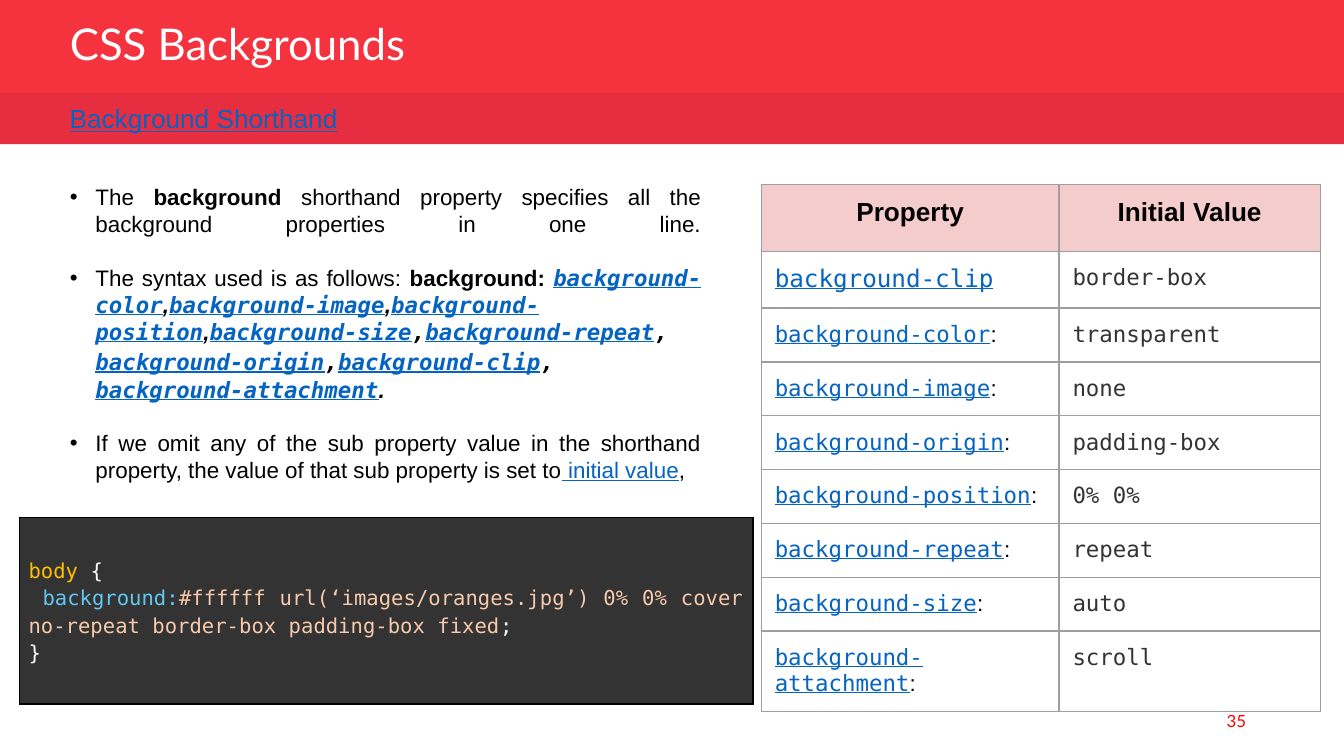
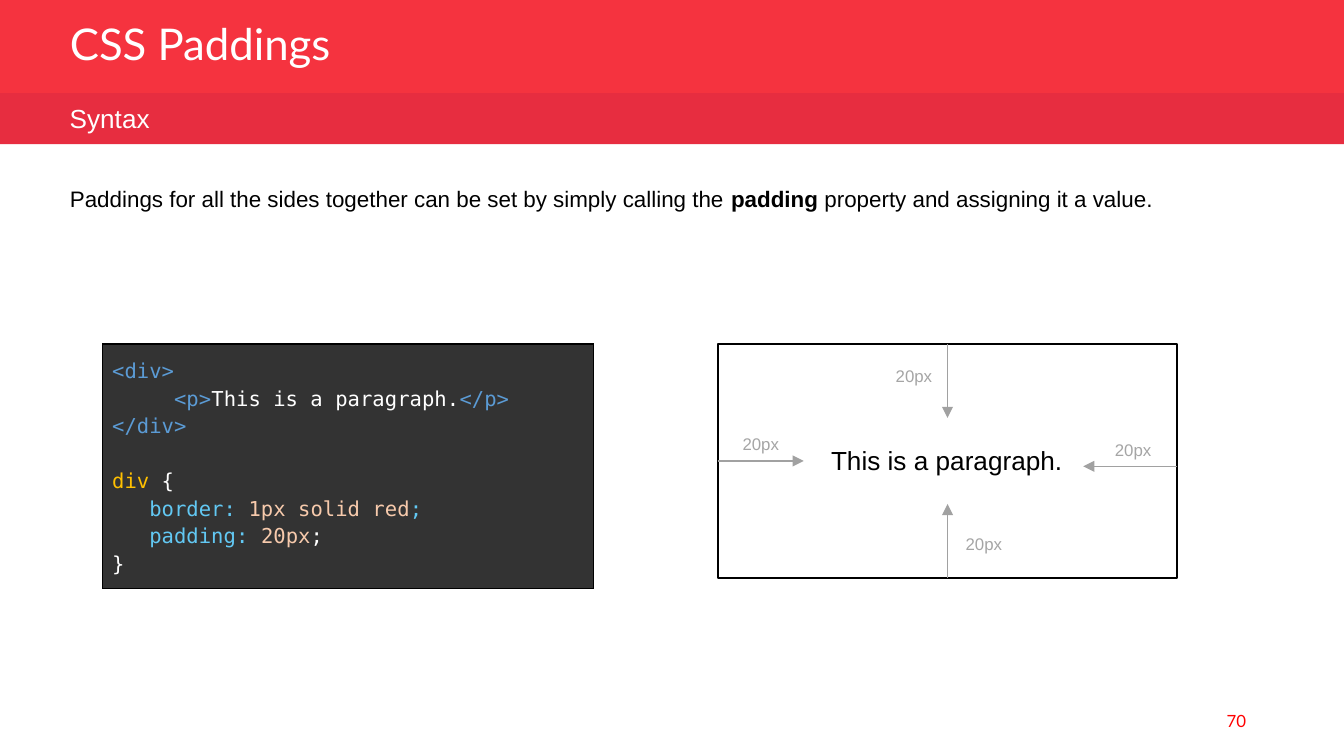
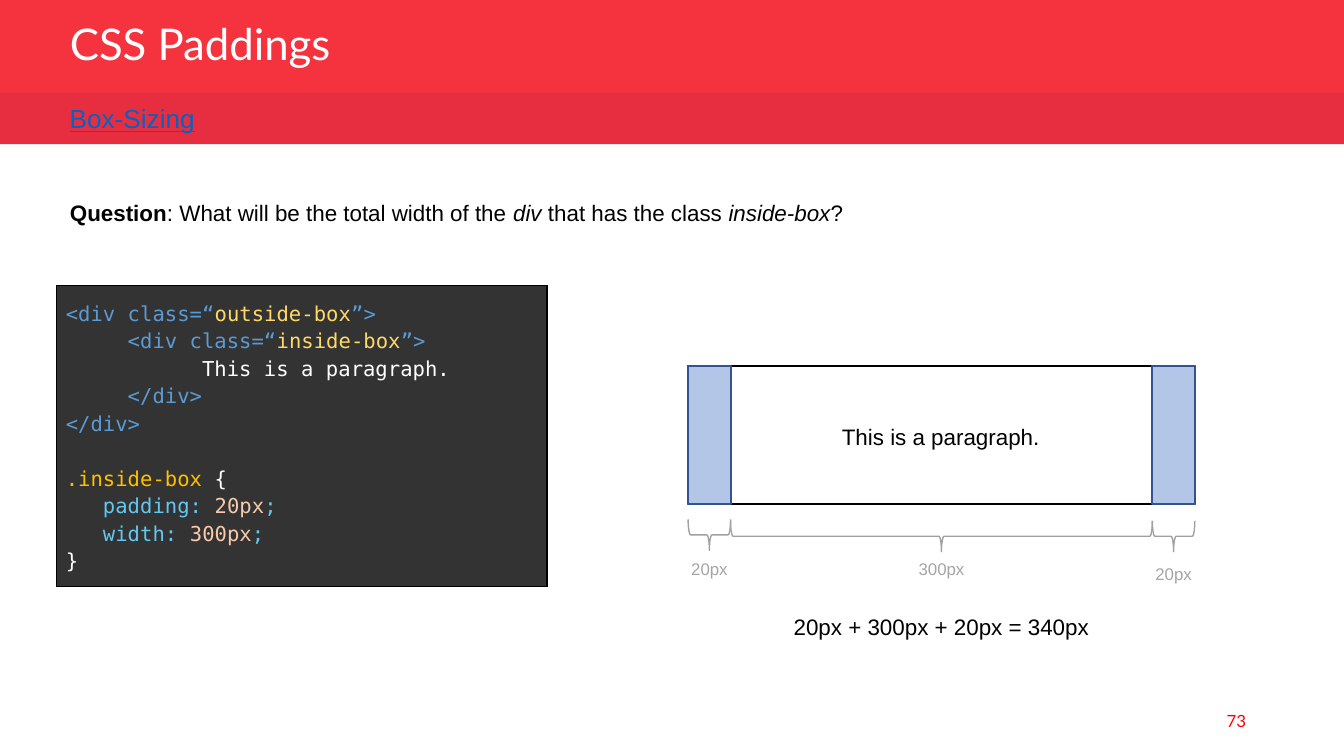
from copy import deepcopy
from typing import Any, NamedTuple, Optional

from pptx import Presentation
from pptx.dml.color import RGBColor
from pptx.enum.shapes import MSO_CONNECTOR as Connector, MSO_SHAPE as Preset
from pptx.enum.text import MSO_ANCHOR as Anchor, MSO_AUTO_SIZE as AutoSize, PP_ALIGN as Align
from pptx.oxml import parse_xml
from pptx.oxml.ns import nsdecls
from pptx.util import Inches, Pt

COLORS = {
    "header": "F5333F", "subheader": "E72D40", "white": "FFFFFF", "black": "000000",
    "link": "0563C1", "page": "FF0000", "table_line": "9E9E9E", "table_head": "F4CCCC",
    "dark": "333333", "arrow": "A1A1A1", "label": "A5A5A5",
    "padding": "B3C6E7", "padding_line": "31538F",
    "tag": "5B9BD5", "selector": "FFC000", "property": "62C8F3",
    "value": "F7CAAC", "string": "FFD966",
}
SANS, MONO, DISPLAY = "Arial", "DejaVu Sans Mono", "Lato"

# A 16:9 slide is a grid of 100 columns; rows are as high as columns are wide
WIDTH = Inches(10)
HEIGHT = WIDTH * 9 // 16
CELL = WIDTH / 100
MARGIN = 4.2
CODE_GAP = Pt(14.7)


class Box(NamedTuple):
    left: float
    top: float
    width: float
    height: float

    def emu(self) -> tuple[int, ...]:
        return tuple(grid(value) for value in self)


class Run(NamedTuple):
    text: str
    style: dict[str, Any] = {}


class Arrow(NamedTuple):
    start: tuple[float, float]
    end: tuple[float, float]
    label: tuple[float, float]
    side: Optional[int] = None


class Span(NamedTuple):
    text: str
    left: float
    width: float
    brace_top: float
    label_top: float
    label_width: float


BOLD = {"bold": True}
ITALIC = {"italic": True}
LINK = {"color": "link", "underline": True}
CODE_LINK = {**LINK, "font": MONO}
STRONG = {"bold": True, "italic": True}


def grid(value: float) -> int:
    return round(value * CELL)


def rgb(name: str) -> RGBColor:
    return RGBColor.from_string(COLORS[name])


# Text
def add_run(paragraph, text: str, *, size: float = 12, font: str = SANS, color: str = "black",
            bold: bool = False, italic: bool = False, underline: bool = False):
    run = paragraph.add_run()
    run.text = text
    run.font.size, run.font.name = Pt(size), font
    run.font.bold, run.font.italic, run.font.underline = bold, italic, underline
    run.font.color.rgb = rgb(color)
    return run


def write(frame, lines: list[list[Run]], align=Align.LEFT, spacing: float = 1.0) -> list:
    for index, runs in enumerate(lines):
        paragraph = frame.add_paragraph() if index else frame.paragraphs[0]
        paragraph.alignment, paragraph.line_spacing = align, spacing
        paragraph.space_before = Pt(0)
        for run in runs:
            add_run(paragraph, run.text, **run.style)
    return list(frame.paragraphs)


def add_text(slide, box: Box, text: str, *, align=Align.LEFT, anchor=Anchor.TOP,
             wrap: bool = True, **style) -> None:
    frame = slide.shapes.add_textbox(*box.emu()).text_frame
    frame.word_wrap, frame.vertical_anchor = wrap, anchor
    write(frame, [[Run(text, style)]], align)


def add_label(slide, box: Box, text: str, **style) -> None:
    add_text(slide, box, text, align=Align.CENTER, wrap=False, **style)


def place(placeholder, box: Box):
    placeholder.left, placeholder.top, placeholder.width, placeholder.height = box.emu()
    frame = placeholder.text_frame
    frame.word_wrap, frame.auto_size = True, AutoSize.NONE
    return frame


def set_bullet(paragraph, bullet: str = "") -> None:
    properties = paragraph._p.get_or_add_pPr()
    indent = Inches(0.19) if bullet else 0
    properties.set("marL", str(indent))
    properties.set("indent", str(-indent))
    if bullet:
        properties.append(parse_xml(
            f'<a:buClr {nsdecls("a")}><a:srgbClr val="{COLORS["black"]}"/></a:buClr>'))
        properties.append(parse_xml(f'<a:buChar {nsdecls("a")} char="{bullet}"/>'))
    else:
        properties.append(parse_xml(f'<a:buNone {nsdecls("a")}/>'))


def end_with_break(paragraph) -> None:
    """Closes the paragraph with a line break in the format of its last run."""
    format_element = paragraph.runs[-1]._r.rPr
    paragraph.add_line_break()
    paragraph._p[-1].append(deepcopy(format_element))
    paragraph._p.append(parse_xml(f'<a:endParaRPr {nsdecls("a")} sz="1200"/>'))


def add_body(slide, box: Box, lines: list[list[Run]], bullet: str = "", align=Align.LEFT) -> list:
    paragraphs = write(place(slide.placeholders[1], box), lines, align)
    for paragraph in paragraphs:
        set_bullet(paragraph, bullet)
    return paragraphs


# Shapes and lines
def add_shape(slide, preset, box: Box, fill: Optional[str] = None,
              line: Optional[str] = None, weight: float = 1):
    shape = slide.shapes.add_shape(preset, *box.emu())
    shape.shadow.inherit = False
    if fill:
        shape.fill.solid()
        shape.fill.fore_color.rgb = rgb(fill)
    else:
        shape.fill.background()
    if line:
        shape.line.color.rgb, shape.line.width = rgb(line), Pt(weight)
    else:
        shape.line.fill.background()
    return shape


def add_brace(slide, left: float, top: float, width: float, depth: float = 2.3) -> None:
    """Draws a brace that opens upwards, as a left brace turned by 270 degrees."""
    box = Box(left + (width - depth) / 2, top + (depth - width) / 2, depth, width)
    add_shape(slide, Preset.LEFT_BRACE, box, line="arrow", weight=0.75).rotation = 270


def add_arrow(slide, arrow: Arrow, target) -> None:
    points = [grid(value) for value in (*arrow.start, *arrow.end)]
    connector = slide.shapes.add_connector(Connector.STRAIGHT, *points)
    if arrow.side is not None:
        connector.begin_connect(target, arrow.side)
    connector.line.color.rgb, connector.line.width = rgb("arrow"), Pt(0.75)
    connector.line._get_or_add_ln().append(parse_xml(f'<a:tailEnd {nsdecls("a")} type="triangle"/>'))
    connector._element.spPr.append(parse_xml(f'<a:effectLst {nsdecls("a")}/>'))


# Tables
def format_cell(cell, fill: Optional[str], line: str, margin: float) -> None:
    cell.margin_left = cell.margin_right = cell.margin_top = cell.margin_bottom = Inches(margin)
    if fill:
        cell.fill.solid()
        cell.fill.fore_color.rgb = rgb(fill)
    else:
        cell.fill.background()
    properties = cell._tc.get_or_add_tcPr()
    for index, side in enumerate("LRTB"):
        properties.insert(index, parse_xml(
            f'<a:ln{side} {nsdecls("a")} w="{Pt(0.75)}"><a:solidFill>'
            f'<a:srgbClr val="{COLORS[line]}"/></a:solidFill></a:ln{side}>'))


def add_table(slide, left: float, top: float, columns: list[float], rows: list[float]):
    box = Box(left, top, sum(columns), sum(rows))
    table = slide.shapes.add_table(len(rows), len(columns), *box.emu()).table
    table.first_row = table.horz_banding = False
    for column, width in zip(table.columns, columns):
        column.width = grid(width)
    for row, height in zip(table.rows, rows):
        row.height = grid(height)
    return table


def add_code(slide, box: Box, blocks: list[list[list[tuple[str, str]]]], align=Align.LEFT) -> None:
    """Draws blocks of code lines; a line is a list of (colour, text) parts."""
    cell = add_table(slide, box.left, box.top, [box.width], [box.height]).cell(0, 0)
    format_cell(cell, "dark", "black", 0.07)
    cell.vertical_anchor = Anchor.MIDDLE
    lines = [[Run(text, {"size": 11, "font": MONO, "color": color}) for color, text in line]
             for block in blocks for line in block]
    paragraphs = write(cell.text_frame, lines, align, 1.15)
    start = 0
    for block in blocks[:-1]:
        start += len(block)
        paragraphs[start].space_before = CODE_GAP


def declaration(name: str, value: str, end: str = "property") -> list[tuple[str, str]]:
    return [("property", f"   {name}: "), ("value", value), (end, ";")]


def rule_head(selector: str) -> list[tuple[str, str]]:
    return [("selector", selector), ("white", " {")]


RULE_END = [("white", "}")]


# What all slides share
def add_slide(presentation, title: str, subtitle: str, page: int, linked: bool = True):
    slide = presentation.slides.add_slide(presentation.slide_layouts[1])
    for fill, top, height in (("subheader", 6.92, 3.8), ("header", 0, 7)):
        band = add_shape(slide, Preset.RECTANGLE, Box(0, top, 100, height), fill)
        slide.shapes._spTree.insert(2, band._element)
    frame = place(slide.shapes.title, Box(MARGIN, 1.4, 46.9, 4.4))
    frame.vertical_anchor = Anchor.MIDDLE
    title_style = {"size": 23.4, "font": DISPLAY, "color": "white"}
    write(frame, [[Run(title, title_style)]], spacing=0.8)
    subtitle_style = LINK if linked else {"color": "white"}
    add_text(slide, Box(MARGIN, 7.15, 50.9, 3.4), subtitle, size=14, **subtitle_style)
    add_text(slide, Box(71.2, 52.15, 22.5, 3), str(page), align=Align.RIGHT,
             anchor=Anchor.MIDDLE, size=9, font=DISPLAY, color="page")
    return slide


def build_backgrounds(presentation) -> None:
    slide = add_slide(presentation, "CSS Backgrounds", "Background Shorthand", 35)

    # Bullet list
    syntax = [Run("The syntax used is as follows: "), Run("background: ", BOLD)]
    for name, mark, font in (
        ("color", ",", SANS), ("image", ",", SANS), ("position", ",", SANS),
        ("size", ",", MONO), ("repeat", ", ", MONO), ("origin", ",", MONO),
        ("clip", ",", MONO), ("attachment", ".", SANS),
    ):
        syntax += [Run(f"background-{name}", {**STRONG, **CODE_LINK}),
                   Run(mark, {**STRONG, "font": font})]
        if name == "clip":
            syntax.append(Run(" ", {"size": 14}))
    paragraphs = add_body(slide, Box(MARGIN, 13.15, 49, 22.9), [
        [Run("The "), Run("background ", BOLD),
         Run("shorthand property specifies all the background properties in one line.")],
        syntax,
        [Run("If we omit any of the sub property value in the shorthand property, "
             "the value of that sub property is set to"),
         Run(" initial value", LINK), Run(", ")],
    ], bullet="•", align=Align.JUSTIFY)
    end_with_break(paragraphs[0])
    paragraphs[-1].space_before = Pt(14)

    # Code
    add_code(slide, Box(1.43, 38.48, 54.6, 13.9), [[
        rule_head("body"),
        [("property", " background:"),
         ("value", "#ffffff url(‘images/oranges.jpg’) 0% 0% cover no-repeat "
                   "border-box padding-box fixed"),
         ("white", ";")],
        RULE_END,
    ]], Align.JUSTIFY)

    # Initial values
    initial_values = [
        ("clip", "border-box"), ("color", "transparent"), ("image", "none"),
        ("origin", "padding-box"), ("position", "0% 0%"), ("repeat", "repeat"),
        ("size", "auto"), ("attachment", "scroll"),
    ]
    table = add_table(slide, 56.65, 13.73, [22.15, 19.45], [5, 4.2] + [4] * 6 + [6])
    for column, heading in enumerate(("Property", "Initial Value")):
        cell = table.cell(0, column)
        format_cell(cell, "table_head", "table_line", 0.1)
        write(cell.text_frame, [[Run(heading, {"size": 14, "bold": True})]], Align.CENTER)
    for row, (name, value) in enumerate(initial_values, start=1):
        first = row == 1
        link = Run(f"background-{name}", {**CODE_LINK, "size": 13 if first else 12})
        value_run = Run(value, {"font": MONO, "color": "dark"})
        contents = [[link] if first else [link, Run(":")], [value_run]]
        for column, runs in enumerate(contents):
            cell = table.cell(row, column)
            format_cell(cell, None, "table_line", 0.1)
            write(cell.text_frame, [runs])


def build_syntax(presentation) -> None:
    slide = add_slide(presentation, "CSS Paddings", "Syntax", 70, linked=False)
    add_body(slide, Box(MARGIN, 13.25, 83.4, 3), [[
        Run("Paddings for all the sides together can be set by simply calling the "),
        Run("padding ", BOLD), Run("property and assigning it a value.")]])
    add_code(slide, Box(7.65, 25.6, 36.5, 18.1), [
        [[("tag", "<div>")],
         [("tag", "     <p>"), ("white", "This is a paragraph."), ("tag", "</p>")],
         [("tag", "</div>")]],
        [rule_head("div"), declaration("border", "1px solid red"),
         declaration("padding", "20px", "white"), RULE_END],
    ])

    # Element with its padding on four sides
    box = Box(53.4, 25.6, 34.2, 17.4)
    right, bottom = box.left + box.width, box.top + box.height
    center, middle = box.left + box.width / 2, box.top + box.height / 2
    element = add_shape(slide, Preset.RECTANGLE, box, line="black")
    add_label(slide, Box(60.8, 32.6, 19.3, 3.4), "This is a paragraph.", size=14)
    for arrow in (
        Arrow((center, box.top), (center, 31.1), (65.6, 26.7), 0),
        Arrow((right, 34.7), (80.6, 34.7), (81.9, 32.2)),
        Arrow((box.left, middle), (59.8, middle), (54.2, 31.8), 1),
        Arrow((center, bottom), (center, 37.5), (70.8, 39.2), 2),
    ):
        add_arrow(slide, arrow, element)
        add_label(slide, Box(*arrow.label, 4.8, 2.5), "20px", size=9, color="label")


def build_box_sizing(presentation) -> None:
    slide = add_slide(presentation, "CSS Paddings", "Box-Sizing", 73)
    add_body(slide, Box(MARGIN, 14.3, 63.1, 3.8), [[
        Run("Question", BOLD), Run(": What will be the total width of the "),
        Run("div ", ITALIC), Run("that has the class "),
        Run("inside-box", ITALIC), Run("?")]])
    add_code(slide, Box(MARGIN, 21.25, 36.5, 22.3), [
        [[("tag", "<div class=“"), ("string", "outside-box"), ("tag", "”>")],
         [("tag", "     <div class=“"), ("string", "inside-box"), ("tag", "”>")],
         [("white", "           This is a paragraph.")],
         [("tag", "     </div>")],
         [("tag", "</div>")]],
        [rule_head(".inside-box"), declaration("padding", "20px"),
         declaration("width", "300px"), RULE_END],
    ])

    # Box with its left and right padding
    box, padding = Box(51.2, 27.22, 37.7, 10.3), 3.16
    content_left, content_width = box.left + padding, box.width - 2 * padding
    right_left = content_left + content_width
    add_shape(slide, Preset.RECTANGLE, box, line="black")
    add_label(slide, Box(61.55, 31, 16.9, 3), "This is a paragraph.")
    for left in (box.left, right_left):
        add_shape(slide, Preset.RECTANGLE, Box(left, box.top, padding, box.height),
                  "padding", "padding_line")

    # Measures
    for span in (
        Span("20px", box.left, padding, 38.65, 41.1, 4.8),
        Span("300px", content_left, content_width, 38.75, 41.1, 5.5),
        Span("20px", right_left, padding, 38.75, 41.45, 4.8),
    ):
        add_brace(slide, span.left, span.brace_top, span.width)
        label_left = span.left + (span.width - span.label_width) / 2
        add_label(slide, Box(label_left, span.label_top, span.label_width, 2.5),
                  span.text, size=9, color="label")
    add_label(slide, Box(content_left, 45.15, content_width, 3), "20px + 300px + 20px = 340px")


def main() -> None:
    presentation = Presentation()
    presentation.slide_width, presentation.slide_height = WIDTH, HEIGHT
    build_backgrounds(presentation)
    build_syntax(presentation)
    build_box_sizing(presentation)
    presentation.save("out.pptx")


if __name__ == "__main__":
    main()
